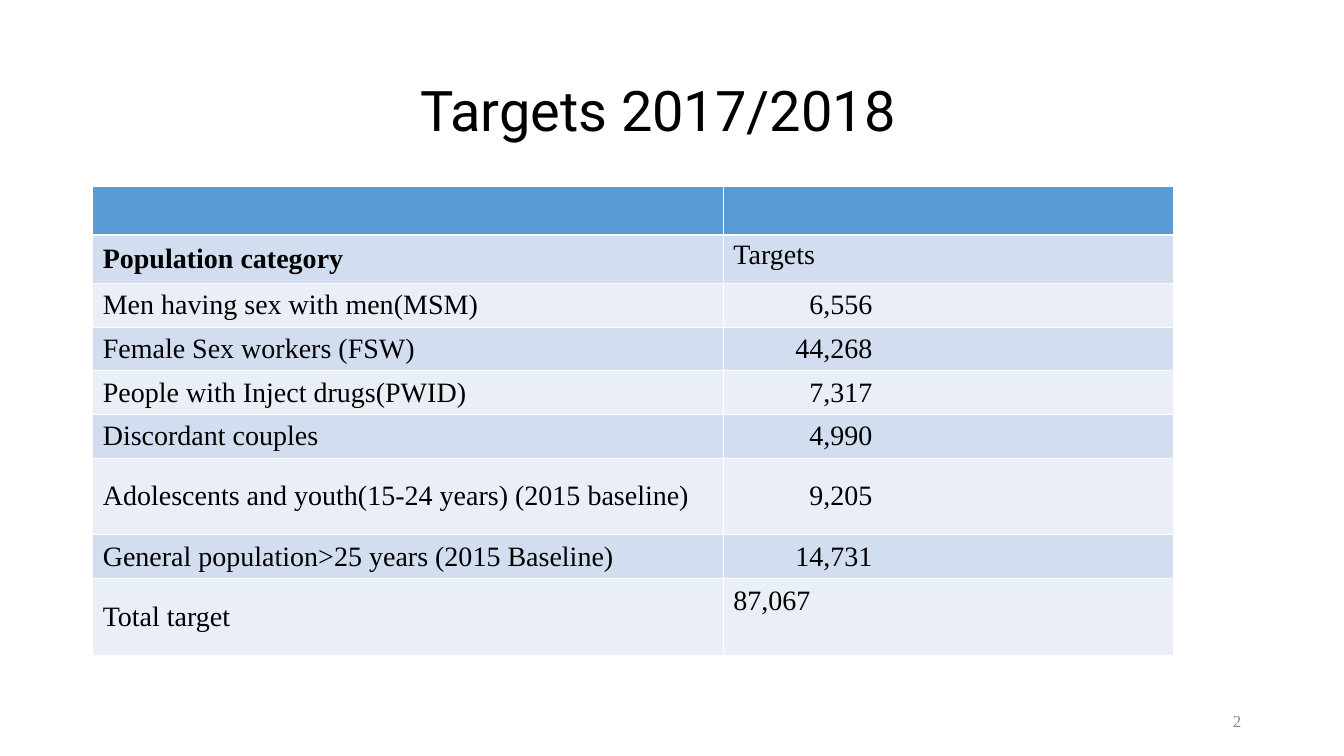
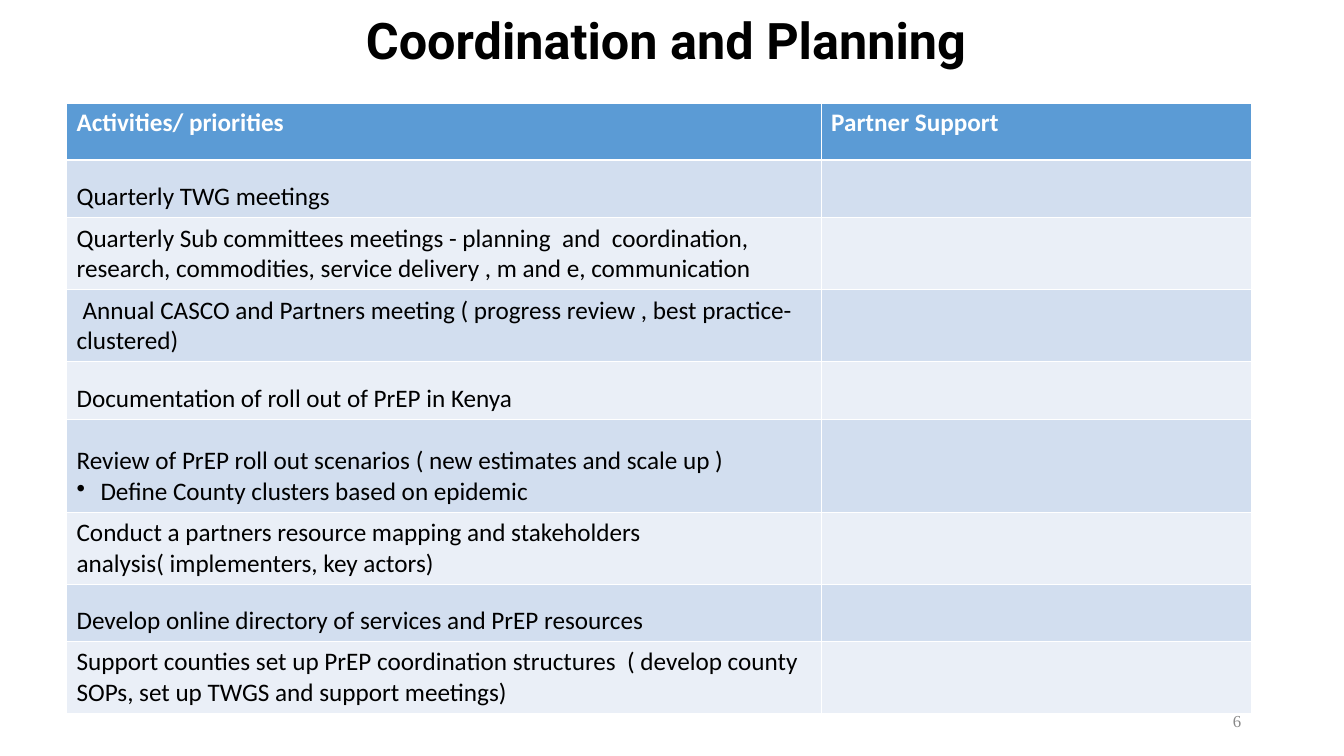
from dataclasses import dataclass

from lxml.etree import SubElement
from pptx import Presentation
from pptx.dml.color import RGBColor
from pptx.enum.text import MSO_ANCHOR, MSO_AUTO_SIZE, PP_ALIGN
from pptx.oxml.ns import qn
from pptx.util import Inches, Pt


@dataclass(frozen=True)
class Theme:
    ink: str = "000000"
    paper: str = "FFFFFF"
    header: str = "5B9BD5"
    bands: tuple = ("D2DEEF", "EAEFF7")
    muted: str = "898989"
    title_font: str = "Roboto"
    serif: str = "Times New Roman"
    sans: str = "Calibri"
    large_title: int = 40
    small_title: int = 36
    large_body: int = 20
    small_body: int = 18
    number: int = 12
    thin: float = 0.45
    thick: float = 1.47


@dataclass(frozen=True)
class Line:
    text: str
    indent: float = 0
    bullet: bool = False


THEME = Theme()
WIDTH, HEIGHT = Inches(13.34), Inches(7.5)
TITLE_WIDTH = 86.21
TWO_LINE_ROW = 9.53
ONE_LINE_ROW = 7.6

TARGETS = [
    ("Men having sex with men(MSM)", "6,556", 5.45),
    ("Female Sex workers (FSW)", "44,268", 5.45),
    ("People with Inject drugs(PWID)", "7,317", 5.45),
    ("Discordant couples", "4,990", 5.45),
    ("Adolescents and youth(15-24 years) (2015 baseline)", "9,205", 10.13),
    ("General population>25 years (2015 Baseline)", "14,731", 5.45),
]

ACTIVITIES = [
    (ONE_LINE_ROW, [Line("Quarterly TWG meetings")]),
    (TWO_LINE_ROW, [Line("Quarterly Sub committees meetings - planning  and  coordination, "
                         "research, commodities, service delivery , m and e, communication")]),
    (TWO_LINE_ROW, [Line("Annual CASCO and Partners meeting ( progress review , "
                         "best practice-clustered)", indent=0.45)]),
    (ONE_LINE_ROW, [Line("Documentation of roll out of PrEP in Kenya")]),
    (12.27, [Line("Review of PrEP roll out scenarios ( new estimates and scale up )"),
             Line("Define County clusters based on epidemic", indent=1.78, bullet=True)]),
    (TWO_LINE_ROW, [Line("Conduct a partners resource mapping and stakeholders "
                         "analysis( implementers, key actors)")]),
    (ONE_LINE_ROW, [Line("Develop online directory of services and PrEP resources")]),
    (TWO_LINE_ROW, [Line("Support counties set up PrEP coordination structures  "
                         "( develop county SOPs, set up TWGS and support meetings)")]),
]


def across(percent):
    return round(WIDTH * percent / 100)


def down(percent):
    return round(HEIGHT * percent / 100)


def style(paragraph, font_name, size, color=THEME.ink, bold=False):
    font = paragraph.font
    font.name, font.size, font.bold = font_name, Pt(size), bold
    font.color.rgb = RGBColor.from_string(color)


def indent_line(paragraph, line):
    properties = paragraph._p.get_or_add_pPr()
    offset = across(line.indent)
    properties.set("marL", str(offset if line.bullet else 0))
    properties.set("indent", str(-offset if line.bullet else offset))
    if line.bullet:
        SubElement(properties, qn("a:buChar"), char="•")


def add_titled_slide(deck, title, number, left, top, height, size, bold=False):
    slide = deck.slides.add_slide(deck.slide_layouts[5])
    heading = slide.shapes.title
    heading.left, heading.top = across(left), down(top)
    heading.width, heading.height = across(TITLE_WIDTH), down(height)
    frame = heading.text_frame
    frame.text = title
    frame.word_wrap = True
    frame.auto_size = MSO_AUTO_SIZE.NONE
    frame.vertical_anchor = MSO_ANCHOR.MIDDLE
    paragraph = frame.paragraphs[0]
    paragraph.alignment = PP_ALIGN.CENTER
    paragraph.line_spacing = 0.9
    style(paragraph, THEME.title_font, size, bold=bold)
    add_slide_number(slide, number)
    return slide


def add_slide_number(slide, number):
    footer = slide.shapes.add_textbox(across(70.61), down(92.67), across(22.49), down(5.33))
    frame = footer.text_frame
    frame.word_wrap = True
    frame.vertical_anchor = MSO_ANCHOR.MIDDLE
    frame.text = number
    paragraph = frame.paragraphs[0]
    paragraph.alignment = PP_ALIGN.RIGHT
    style(paragraph, THEME.serif, THEME.number, THEME.muted)


def draw_borders(cell, row_index):
    weights = {
        "lnL": THEME.thin,
        "lnR": THEME.thin,
        "lnT": THEME.thick if row_index == 1 else THEME.thin,
        "lnB": THEME.thick if row_index == 0 else THEME.thin,
    }
    properties = cell._tc.get_or_add_tcPr()
    for side, weight in weights.items():
        border = SubElement(properties, qn(f"a:{side}"), w=str(Pt(weight)))
        fill = SubElement(border, qn("a:solidFill"))
        SubElement(fill, qn("a:srgbClr"), val=THEME.paper)


def add_banded_table(slide, left, top, width, first_share, row_heights):
    table = slide.shapes.add_table(
        len(row_heights), 2, across(left), down(top), across(width), down(sum(row_heights))
    ).table
    for column, share in zip(table.columns, (first_share, 100 - first_share)):
        column.width = across(width * share / 100)
    for row_index, (row, height) in enumerate(zip(table.rows, row_heights)):
        row.height = down(height)
        color = THEME.bands[(row_index - 1) % 2] if row_index else THEME.header
        for cell in row.cells:
            draw_borders(cell, row_index)
            cell.fill.solid()
            cell.fill.fore_color.rgb = RGBColor.from_string(color)
    return table


def write_cell(cell, lines, anchor, font_name, size, color=THEME.ink, bold=False):
    cell.vertical_anchor = anchor
    frame = cell.text_frame
    for index, line in enumerate(lines):
        paragraph = frame.add_paragraph() if index else frame.paragraphs[0]
        paragraph.text = line.text
        if line.indent:
            indent_line(paragraph, line)
        style(paragraph, font_name, size, color, bold)


def build_targets(deck):
    slide = add_titled_slide(deck, "Targets 2017/2018", "2", 5.85, 5.33, 19.33,
                             THEME.large_title)
    heights = [6.4, 6.4, *(height for *_, height in TARGETS), 10.13]
    table = add_banded_table(slide, 6.9, 24.67, 80.43, 58.34, heights)
    entries = [("Population category", "Targets"),
               *((category, target) for category, target, _ in TARGETS),
               ("Total target", "87,067")]
    for row_index, (category, target) in enumerate(entries, start=1):
        is_figure = 1 < row_index < len(entries)
        write_cell(table.cell(row_index, 0), [Line(category)], MSO_ANCHOR.MIDDLE,
                   THEME.serif, THEME.large_body, bold=row_index == 1)
        target_cell = table.cell(row_index, 1)
        write_cell(target_cell, [Line(target)],
                   MSO_ANCHOR.MIDDLE if is_figure else MSO_ANCHOR.TOP,
                   THEME.serif, THEME.large_body)
        if is_figure:
            target_cell.margin_right = across(22.41)
            target_cell.text_frame.paragraphs[0].alignment = PP_ALIGN.RIGHT
    table.cell(len(entries), 1).margin_top = down(0.93)


def build_coordination(deck):
    slide = add_titled_slide(deck, "Coordination and Planning", "6", 6.45, 2.8, 5.87,
                             THEME.small_title, bold=True)
    heights = [ONE_LINE_ROW, *(height for height, _ in ACTIVITIES)]
    table = add_banded_table(slide, 4.95, 13.6, 88.16, 63.69, heights)
    for column, label in enumerate(("Activities/ priorities", "Partner Support")):
        write_cell(table.cell(0, column), [Line(label)], MSO_ANCHOR.TOP,
                   THEME.sans, THEME.small_body, THEME.paper, bold=True)
    for row_index, (_, lines) in enumerate(ACTIVITIES, start=1):
        write_cell(table.cell(row_index, 0), lines, MSO_ANCHOR.BOTTOM,
                   THEME.sans, THEME.small_body)


def main():
    deck = Presentation()
    deck.slide_width, deck.slide_height = WIDTH, HEIGHT
    build_targets(deck)
    build_coordination(deck)
    deck.save("out.pptx")


if __name__ == "__main__":
    main()
